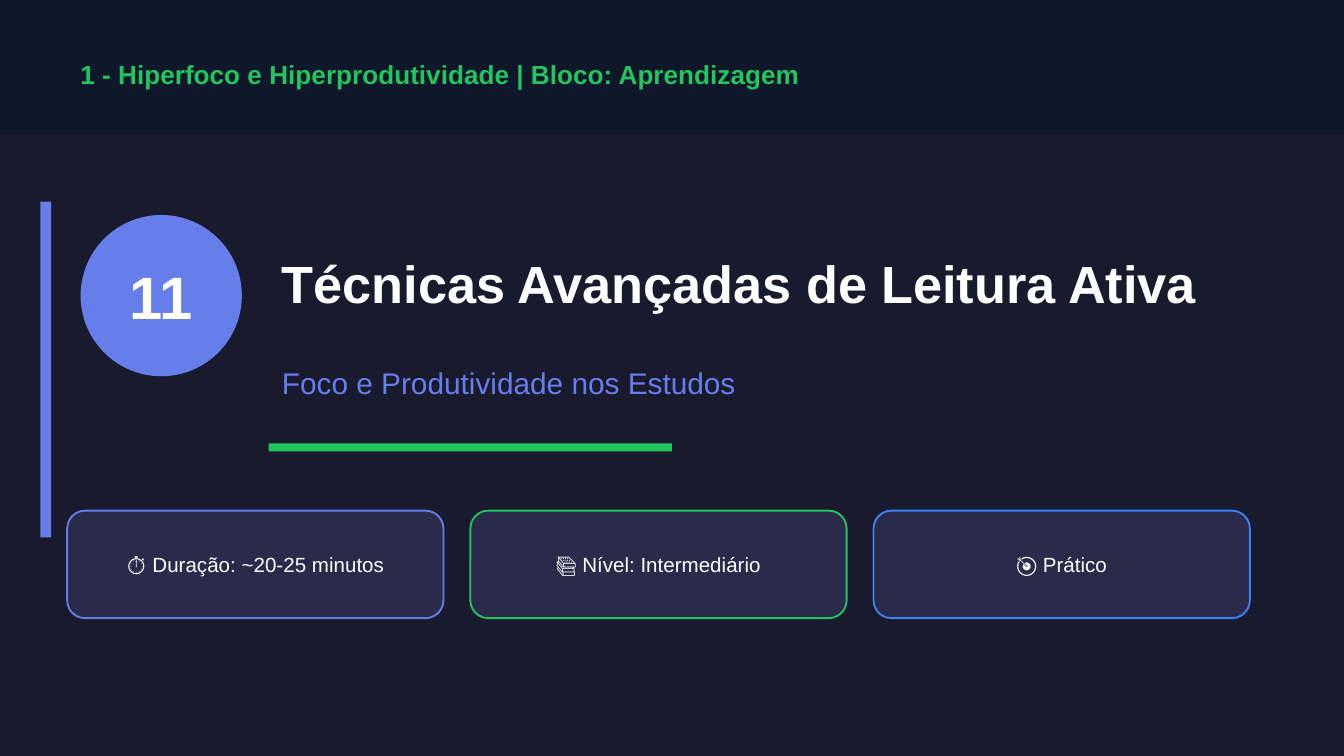
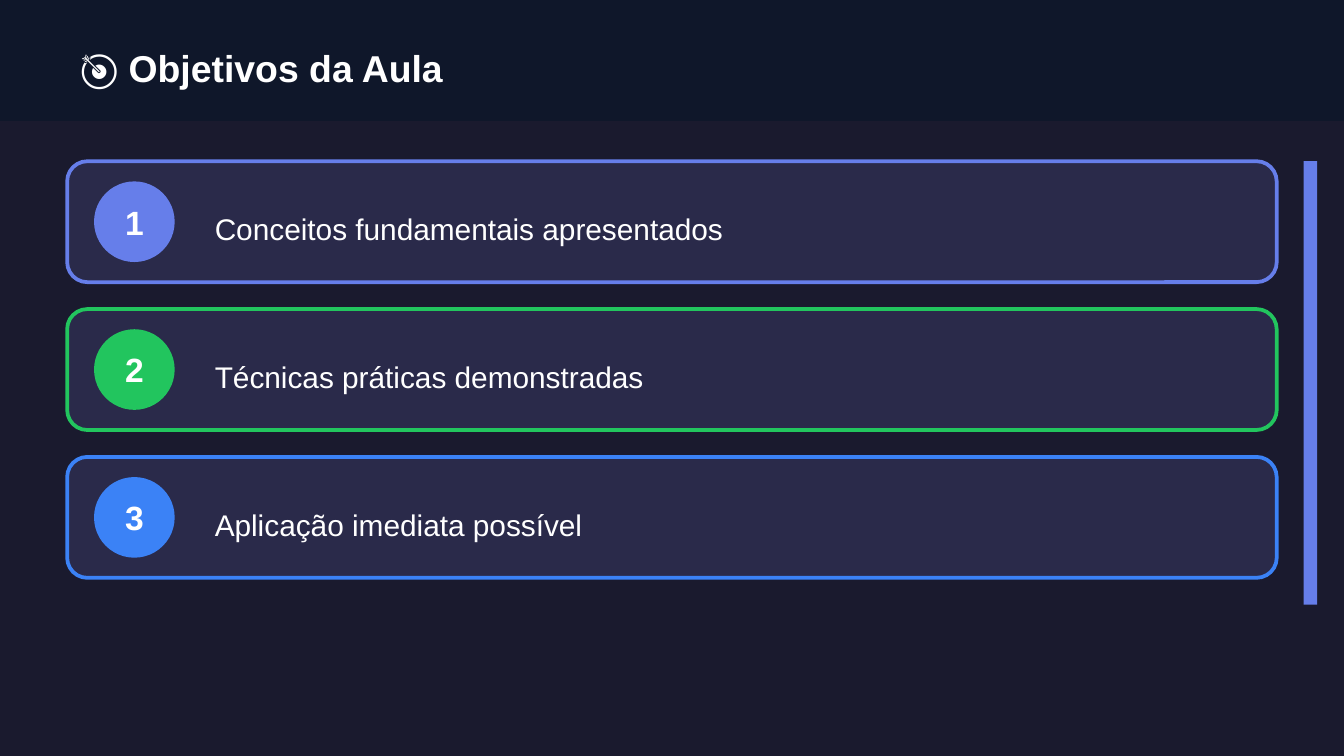
from pptx import Presentation
from pptx.dml.color import RGBColor
from pptx.enum.shapes import MSO_SHAPE
from pptx.enum.text import MSO_ANCHOR, PP_ALIGN
from pptx.util import Inches, Pt

# Content
BLOCK = "1 - Hiperfoco e Hiperprodutividade | Bloco: Aprendizagem"
LESSON_NUMBER = "11"
LESSON_TITLE = "Técnicas Avançadas de Leitura Ativa"
LESSON_SUBTITLE = "Foco e Produtividade nos Estudos"
FACTS = ["⏱ Duração: ~20-25 minutos", "📚 Nível: Intermediário", "🎯 Prático"]
GOALS_TITLE = "🎯 Objetivos da Aula"
GOALS = [
    "Conceitos fundamentais apresentados",
    "Técnicas práticas demonstradas",
    "Aplicação imediata possível",
]

# Shared style
FONT = "Arial"
NIGHT = RGBColor(0x1A, 0x1A, 0x2E)
BAND = RGBColor(0x0F, 0x17, 0x2A)
CARD = RGBColor(0x2A, 0x2A, 0x4A)
WHITE = RGBColor(0xFF, 0xFF, 0xFF)
INDIGO = RGBColor(0x66, 0x7E, 0xEA)
GREEN = RGBColor(0x22, 0xC5, 0x5E)
BLUE = RGBColor(0x3B, 0x82, 0xF6)
ACCENTS = [INDIGO, GREEN, BLUE]

# Grid, in inches
PAGE_WIDTH, PAGE_HEIGHT = 10, 5.625
MARGIN = 0.5
CONTENT_WIDTH = PAGE_WIDTH - 2 * MARGIN
GAP = 0.2
FACT_WIDTH, FACT_TOP = 2.8, 3.8
GOAL_HEIGHT, GOAL_TOP = 0.9, 1.2


def add_box(page, kind, left, top, width, height, fill, line=None, weight=1):
    box = page.shapes.add_shape(
        kind, Inches(left), Inches(top), Inches(width), Inches(height))
    box.shadow.inherit = False
    box.fill.solid()
    box.fill.fore_color.rgb = fill
    if line is None:
        box.line.fill.background()
    else:
        box.line.color.rgb = line
        box.line.width = Pt(weight)


def add_text(page, text, left, top, width, height, size,
             color=WHITE, bold=False, align=PP_ALIGN.LEFT):
    box = page.shapes.add_textbox(
        Inches(left), Inches(top), Inches(width), Inches(height))
    frame = box.text_frame
    frame.word_wrap = True
    frame.vertical_anchor = MSO_ANCHOR.MIDDLE
    para = frame.paragraphs[0]
    para.alignment = align
    span = para.add_run()
    span.text = text
    span.font.name = FONT
    span.font.size = Pt(size)
    span.font.bold = bold
    span.font.color.rgb = color


def add_badge(page, number, left, top, diameter, text_height, size, fill):
    """Draw a disc with a number at its centre."""
    add_box(page, MSO_SHAPE.OVAL, left, top, diameter, diameter, fill)
    add_text(page, number, left, top + (diameter - text_height) / 2,
             diameter, text_height, size, bold=True, align=PP_ALIGN.CENTER)


def add_page(deck, heading, band_height, top, height, size, color=WHITE):
    """Start a dark page with a heading in its top band."""
    page = deck.slides.add_slide(deck.slide_layouts[6])
    page.background.fill.solid()
    page.background.fill.fore_color.rgb = NIGHT
    add_box(page, MSO_SHAPE.RECTANGLE, 0, 0, PAGE_WIDTH, band_height, BAND)
    add_text(page, heading, MARGIN, top, CONTENT_WIDTH, height, size,
             color=color, bold=True)
    return page


def build_cover(deck):
    page = add_page(deck, BLOCK, 1, 0.35, 0.4, 14, color=GREEN)
    add_box(page, MSO_SHAPE.RECTANGLE, 0.3, 1.5, 0.08, 2.5, INDIGO)
    add_badge(page, LESSON_NUMBER, 0.6, 1.6, 1.2, 0.7, 32, INDIGO)

    # Title, subtitle and rule
    add_text(page, LESSON_TITLE, 2, 1.6, 7.5, 1, 28, bold=True)
    add_text(page, LESSON_SUBTITLE, 2, 2.6, 7.5, 0.5, 16, color=INDIGO)
    add_box(page, MSO_SHAPE.RECTANGLE, 2, 3.3, 3, 0.06, GREEN)

    # Row of facts
    for column, (fact, accent) in enumerate(zip(FACTS, ACCENTS)):
        left = MARGIN + column * (FACT_WIDTH + GAP)
        add_box(page, MSO_SHAPE.ROUNDED_RECTANGLE, left, FACT_TOP,
                FACT_WIDTH, 0.8, CARD, line=accent)
        add_text(page, fact, left, FACT_TOP + 0.15, FACT_WIDTH, 0.5, 11,
                 align=PP_ALIGN.CENTER)


def build_goals(deck):
    page = add_page(deck, GOALS_TITLE, 0.9, 0.25, 0.5, 20)
    pitch = GOAL_HEIGHT + GAP

    # Stack of numbered goals
    for row, (goal, accent) in enumerate(zip(GOALS, ACCENTS)):
        top = GOAL_TOP + row * pitch
        add_box(page, MSO_SHAPE.ROUNDED_RECTANGLE, MARGIN, top,
                CONTENT_WIDTH, GOAL_HEIGHT, CARD, line=accent, weight=2)
        add_badge(page, str(row + 1), 0.7, top + 0.15, 0.6, 0.4, 18, accent)
        add_text(page, goal, 1.5, top + 0.25, 7.8, 0.5, 16)

    # Side bar
    add_box(page, MSO_SHAPE.RECTANGLE, 9.7, GOAL_TOP, 0.1,
            len(GOALS) * pitch, INDIGO)


def main():
    deck = Presentation()
    deck.slide_width = Inches(PAGE_WIDTH)
    deck.slide_height = Inches(PAGE_HEIGHT)
    build_cover(deck)
    build_goals(deck)
    deck.save("out.pptx")


if __name__ == "__main__":
    main()
